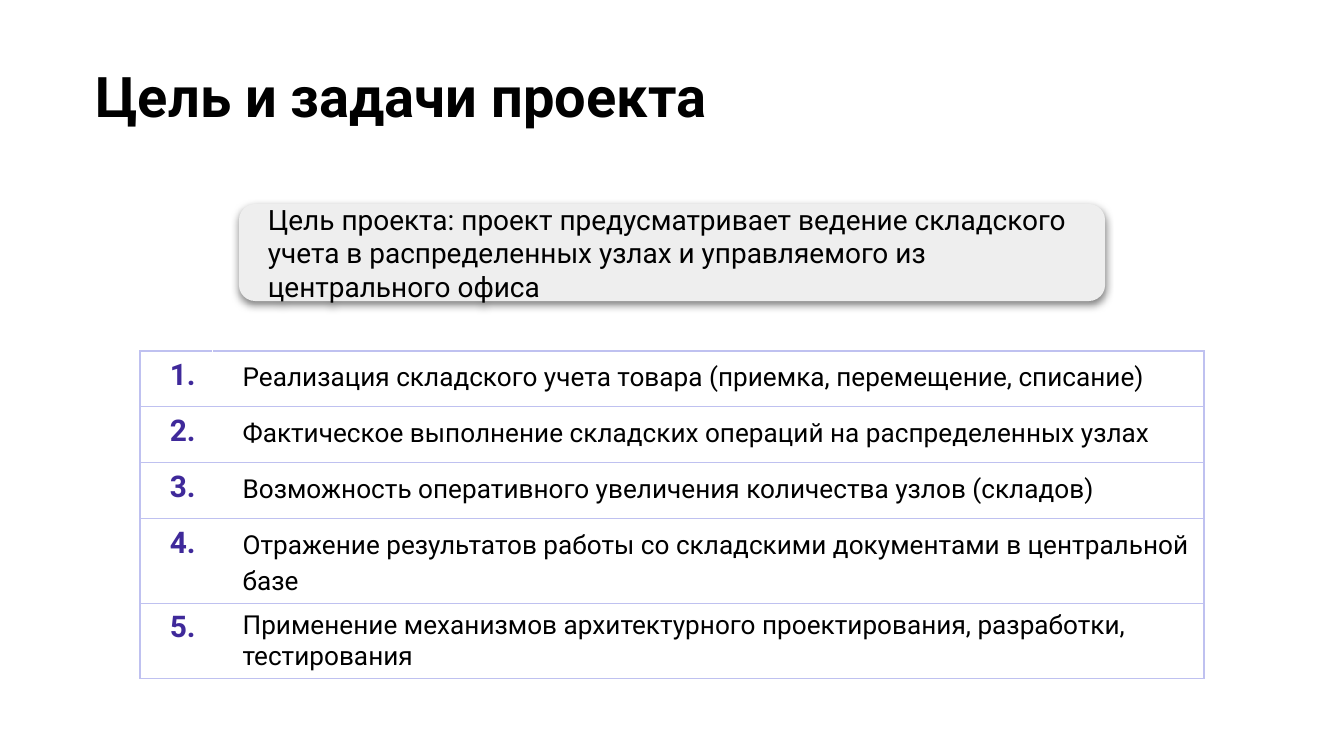
from lxml.etree import SubElement
from pptx import Presentation
from pptx.dml.color import RGBColor
from pptx.enum.shapes import MSO_SHAPE
from pptx.enum.text import MSO_ANCHOR, PP_ALIGN
from pptx.oxml.ns import qn
from pptx.util import Pt

FONT = "Roboto"
BLACK, WHITE, GREY = "000000", "FFFFFF", "EEEEEE"
VIOLET, LAVENDER = "3F299A", "BFC1F0"

GOAL = ("Цель проекта: проект предусматривает ведение складского учета "
        "в распределенных узлах и управляемого из центрального офиса")
# Each task with its line spacing
TASKS = [
    ("Реализация складского учета товара (приемка, перемещение, списание)", 1.15),
    ("Фактическое выполнение складских операций на распределенных узлах", 1.15),
    ("Возможность оперативного увеличения количества узлов (складов)", 1.15),
    ("Отражение результатов работы со складскими документами в центральной базе", 1.15),
    ("Применение механизмов архитектурного проектирования, разработки, тестирования", 1.0),
]


def rgb(value):
    return RGBColor.from_string(value)


def add_run(p, text, size, color=BLACK, bold=False):
    p.alignment = PP_ALIGN.LEFT
    r = p.add_run()
    r.text = text
    r.font.name = FONT
    r.font.size = Pt(size)
    r.font.bold = bold
    r.font.color.rgb = rgb(color)


def set_margins(box, left, top, right, bottom):
    box.margin_left, box.margin_top = Pt(left), Pt(top)
    box.margin_right, box.margin_bottom = Pt(right), Pt(bottom)


def add_title(s, text):
    sp = s.shapes.title
    sp.left, sp.top, sp.width, sp.height = Pt(44), Pt(26), Pt(671), Pt(103)
    tf = sp.text_frame
    tf.word_wrap = True
    tf.vertical_anchor = MSO_ANCHOR.TOP
    set_margins(tf, 7.2, 7.2, 7.2, 7.2)
    add_run(tf.paragraphs[0], text, 30, bold=True)


def add_shadow(sp, blur, distance):
    """Soft black shadow, straight down, half transparent."""
    sp.shadow.inherit = False
    effects = sp._element.spPr.find(qn("a:effectLst"))
    shadow = SubElement(effects, qn("a:outerShdw"), blurRad=str(Pt(blur)),
                        dist=str(Pt(distance)), dir="5400000",
                        algn="bl", rotWithShape="0")
    color = SubElement(shadow, qn("a:srgbClr"), val=BLACK)
    SubElement(color, qn("a:alpha"), val="50000")


def add_goal(s, text):
    sp = s.shapes.add_shape(MSO_SHAPE.ROUNDED_RECTANGLE,
                            Pt(128), Pt(109.3), Pt(464), Pt(52))
    sp.fill.solid()
    sp.fill.fore_color.rgb = rgb(GREY)
    sp.line.fill.background()
    add_shadow(sp, 4.5, 1.5)
    tf = sp.text_frame
    tf.word_wrap = True
    tf.vertical_anchor = MSO_ANCHOR.MIDDLE
    set_margins(tf, 13, 7.2, 13, 7.2)
    add_run(tf.paragraphs[0], text, 15)


def set_borders(cell, left, right):
    tcPr = cell._tc.get_or_add_tcPr()
    sides = {"L": left, "R": right, "T": LAVENDER, "B": LAVENDER}
    for i, (side, color) in enumerate(sides.items()):
        ln = tcPr.makeelement(qn(f"a:ln{side}"), {"w": str(Pt(0.75))})
        fill = SubElement(ln, qn("a:solidFill"))
        SubElement(fill, qn("a:srgbClr"), val=color)
        tcPr.insert(i, ln)  # borders come before the fill


def fill_cell(cell, text, size, color, bold, spacing, left, right):
    cell.fill.background()
    set_margins(cell, 16, 3.6, 7.2, 3.6)
    set_borders(cell, left, right)
    p = cell.text_frame.paragraphs[0]
    p.line_spacing = spacing
    add_run(p, text, size, color, bold)


def add_tasks(s, tasks):
    row_height = 30
    frame = s.shapes.add_table(len(tasks), 2, Pt(75), Pt(188),
                               Pt(570), Pt(row_height * len(tasks)))
    table = frame.table
    table.first_row = table.horz_banding = False
    table.columns[0].width, table.columns[1].width = Pt(39), Pt(531)
    for i, (task, spacing) in enumerate(tasks):
        table.rows[i].height = Pt(row_height)
        fill_cell(table.cell(i, 0), f"{i + 1}.", 16, VIOLET, True, 1.0,
                  LAVENDER, WHITE)
        fill_cell(table.cell(i, 1), task, 14, BLACK, False, spacing,
                  WHITE, LAVENDER)


def main():
    prs = Presentation()
    prs.slide_width, prs.slide_height = Pt(720), Pt(405)
    s = prs.slides.add_slide(prs.slide_layouts[5])

    # Heading
    add_title(s, "Цель и задачи проекта")
    # Numbered tasks
    add_tasks(s, TASKS)
    # Project goal
    add_goal(s, GOAL)

    prs.save("out.pptx")


if __name__ == "__main__":
    main()
